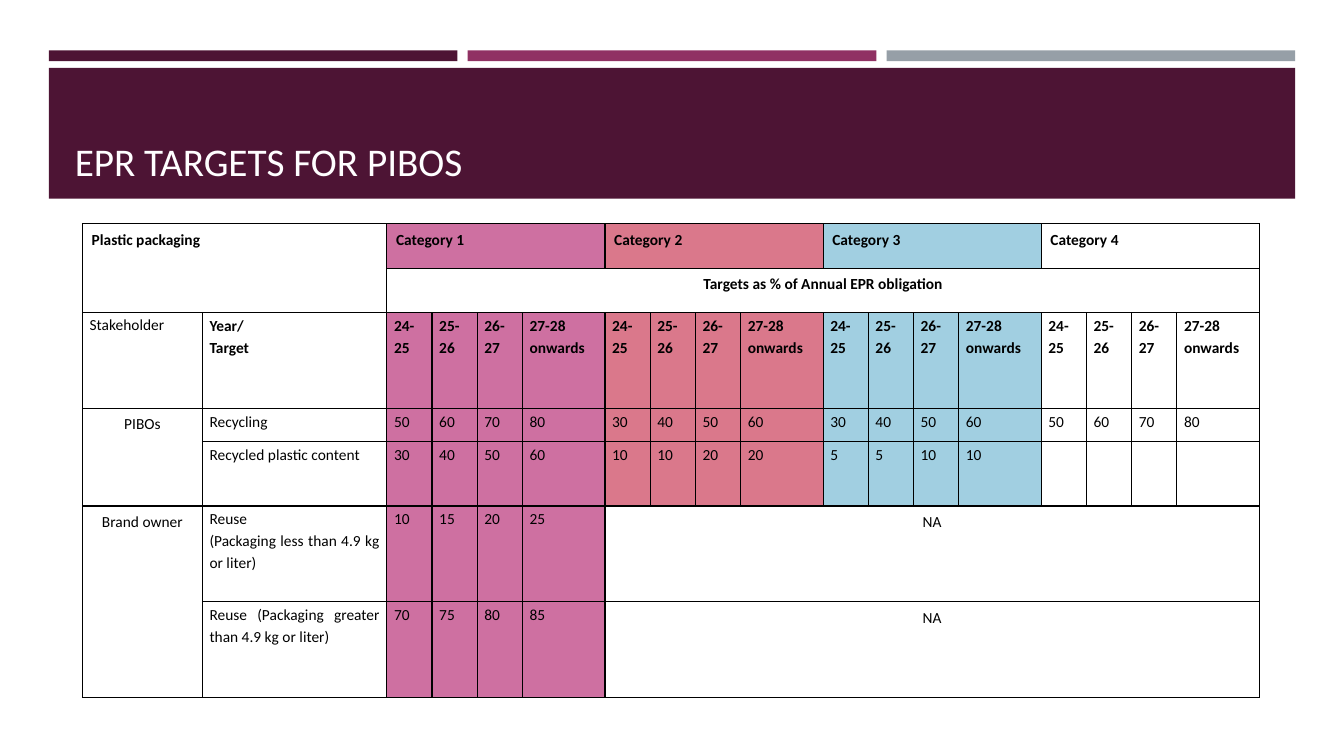
from lxml.etree import SubElement
from pptx import Presentation
from pptx.dml.color import RGBColor
from pptx.enum.shapes import MSO_SHAPE
from pptx.enum.text import MSO_ANCHOR, PP_ALIGN
from pptx.oxml import parse_xml
from pptx.oxml.ns import qn
from pptx.util import Cm, Pt

FONT = "Calibri"
PLUM = RGBColor(0x4D, 0x14, 0x34)
MAGENTA = RGBColor(0x90, 0x31, 0x63)
GREY = RGBColor(0x96, 0x9F, 0xA7)
TITLE_WHITE = RGBColor(0xFF, 0xFE, 0xFF)
BLACK = RGBColor(0, 0, 0)
PINK = RGBColor(0xCE, 0x70, 0xA1)
ROSE = RGBColor(0xDA, 0x78, 0x8B)
SKY = RGBColor(0xA1, 0xCF, 0xE1)

CATEGORY_FILLS = [PINK, ROSE, SKY, None]
YEARS = ["24-25", "25-26", "26-27", "27-28 onwards"]
COLUMN_WIDTHS = [3.02, 4.65] + [1.14, 1.14, 1.14, 2.08] * 4
ROW_HEIGHTS = [1.12, 1.12, 2.41, 0.84, 1.62, 2.41, 2.41]
FIRST_VALUE_COLUMN = 2
YEAR_ROW = 2
TARGETS = {
    3: ("Recycling", [50, 60, 70, 80, 30, 40, 50, 60, 30, 40, 50, 60, 50, 60, 70, 80]),
    4: ("Recycled plastic content", [30, 40, 50, 60, 10, 10, 20, 20, 5, 5, 10, 10]),
    5: ("Reuse\n(Packaging less than 4.9 kg or liter)", [10, 15, 20, 25]),
    6: ("Reuse (Packaging greater than 4.9 kg or liter)", [70, 75, 80, 85]),
}
ROOMY = (0.23, 0.1, 0.23, 0.1)
TIGHT = (0.18, 0.03, 0.18, 0)


def add_bar(page, left, top, width, height, color):
    """Draw one flat rectangle."""
    bar = page.shapes.add_shape(
        MSO_SHAPE.RECTANGLE, Cm(left), Cm(top), Cm(width), Cm(height)
    )
    bar.shadow.inherit = False
    bar.fill.solid()
    bar.fill.fore_color.rgb = color
    bar.line.fill.background()


def add_header(page, left, top, width, height):
    """Draw the three strips and the title band inside the given box."""
    gap = 0.26
    strip = (width - 2 * gap) / 3
    for index, color in enumerate([PLUM, MAGENTA, GREY]):
        add_bar(page, left + index * (strip + gap), top, strip, 0.27, color)
    add_bar(page, left, top + 0.44, width, height - 0.44, PLUM)

    title = page.shapes.title
    title.element.getparent().append(title.element)
    title.left, title.top = Cm(left + 0.4), Cm(top + 0.69)
    title.width, title.height = Cm(width - 0.8), Cm(height - 0.92)
    frame = title.text_frame
    frame.text = "EPR TARGETS FOR PIBOS"
    frame.word_wrap = True
    frame.vertical_anchor = MSO_ANCHOR.BOTTOM
    para = frame.paragraphs[0]
    para.alignment = PP_ALIGN.LEFT
    para.line_spacing = 0.9
    font = para.runs[0].font
    font.name, font.size, font.color.rgb = FONT, Pt(28), TITLE_WHITE


def style_cell(cell, fill):
    """Give a cell its fill and thin black borders."""
    if fill is None:
        cell.fill.background()
    else:
        cell.fill.solid()
        cell.fill.fore_color.rgb = fill
    properties = cell._tc.get_or_add_tcPr()
    for index, side in enumerate(["lnL", "lnR", "lnT", "lnB"]):
        border = parse_xml(
            f'<a:{side} xmlns:a="http://schemas.openxmlformats.org/drawingml/2006/main"'
            ' w="12700"/>'
        )
        solid = SubElement(border, qn("a:solidFill"))
        SubElement(solid, qn("a:srgbClr"), val=str(BLACK))
        properties.insert(index, border)


def write_cell(cell, text, margins, alignment=PP_ALIGN.JUSTIFY, bold=False, spacing=1.15):
    """Write formatted text into a cell."""
    cell.margin_left, cell.margin_top, cell.margin_right, cell.margin_bottom = map(
        Cm, margins
    )
    cell.text_frame.text = text
    for para in cell.text_frame.paragraphs:
        para.alignment = alignment
        para.line_spacing = spacing
        for span in para.runs:
            font = span.font
            font.name, font.size, font.bold = FONT, Pt(11), bold
            font.color.rgb = BLACK


def fill_for(row, column):
    """Return the category colour of a cell, or None where it is clear."""
    category = (column - FIRST_VALUE_COLUMN) // len(YEARS)
    if column < FIRST_VALUE_COLUMN or row == 1 or (row >= 5 and category > 0):
        return None
    return CATEGORY_FILLS[category]


def add_target_table(page, left, top):
    """Build the table of targets with its top left corner at the given point."""
    rows, columns = len(ROW_HEIGHTS), len(COLUMN_WIDTHS)
    table = page.shapes.add_table(
        rows, columns, Cm(left), Cm(top), Cm(sum(COLUMN_WIDTHS)), Cm(sum(ROW_HEIGHTS))
    ).table
    table.first_row = table.horz_banding = False
    for column, width in zip(table.columns, COLUMN_WIDTHS):
        column.width = Cm(width)
    for row, height in zip(table.rows, ROW_HEIGHTS):
        row.height = Cm(height)
    for row in range(rows):
        for column in range(columns):
            style_cell(table.cell(row, column), fill_for(row, column))

    last = columns - 1
    merged = [
        (0, 0, 1, 1, "Plastic packaging", PP_ALIGN.JUSTIFY, True),
        (1, 2, 1, last, "Targets as % of Annual EPR obligation", PP_ALIGN.CENTER, True),
        (3, 0, 4, 0, "PIBOs", PP_ALIGN.CENTER, False),
        (5, 0, 6, 0, "Brand owner", PP_ALIGN.CENTER, False),
        (5, 6, 5, last, "NA", PP_ALIGN.CENTER, False),
        (6, 6, 6, last, "NA", PP_ALIGN.CENTER, False),
    ]
    for category in range(len(CATEGORY_FILLS)):
        start = FIRST_VALUE_COLUMN + category * len(YEARS)
        merged.append(
            (0, start, 0, start + 3, f"Category {category + 1}", PP_ALIGN.JUSTIFY, True)
        )
    for row, column, end_row, end_column, text, alignment, bold in merged:
        cell = table.cell(row, column)
        cell.merge(table.cell(end_row, end_column))
        write_cell(cell, text, ROOMY, alignment, bold)

    write_cell(table.cell(YEAR_ROW, 0), "Stakeholder", TIGHT, PP_ALIGN.LEFT, spacing=1.07)
    write_cell(table.cell(YEAR_ROW, 1), "Year/\nTarget", TIGHT, bold=True)
    for index, year in enumerate(YEARS * len(CATEGORY_FILLS)):
        cell = table.cell(YEAR_ROW, FIRST_VALUE_COLUMN + index)
        write_cell(cell, year, TIGHT, bold=True)
    for row, (label, values) in TARGETS.items():
        write_cell(table.cell(row, 1), label, TIGHT)
        for column, value in enumerate(values, FIRST_VALUE_COLUMN):
            write_cell(table.cell(row, column), str(value), TIGHT)


def main():
    """Build the deck and save it."""
    deck = Presentation()
    deck.slide_width, deck.slide_height = Cm(33.87), Cm(19.05)
    page = deck.slides.add_slide(deck.slide_layouts[5])
    add_header(page, 1.23, 1.27, 31.41, 3.74)
    add_target_table(page, 2.08, 5.64)
    deck.save("out.pptx")


if __name__ == "__main__":
    main()
